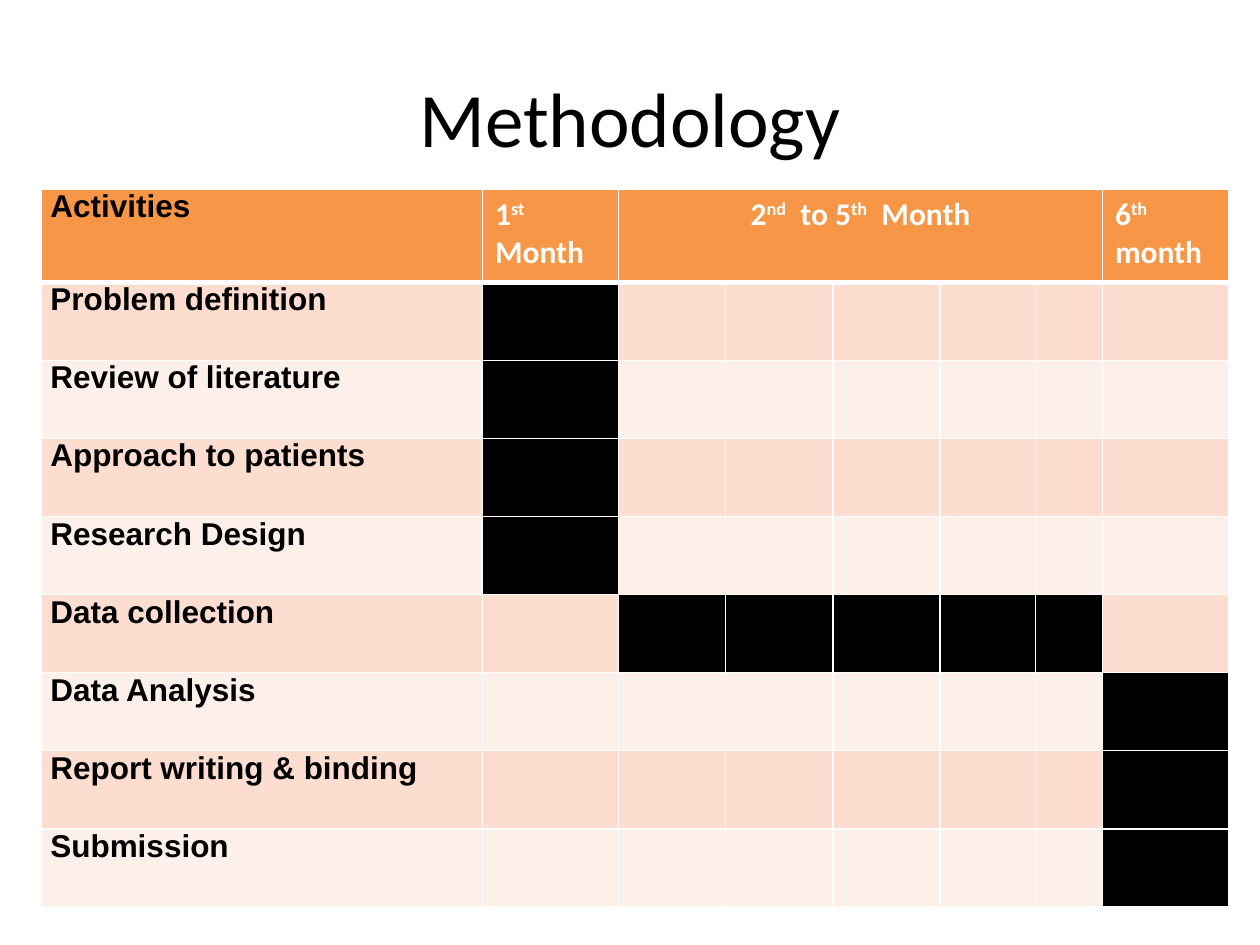
"""Build the Methodology slide with its activity schedule table."""
import pptx
import pptx.dml.color
import pptx.enum.text
import pptx.oxml
import pptx.oxml.ns
import pptx.util

Inches, Pt = pptx.util.Inches, pptx.util.Pt
RGBColor = pptx.dml.color.RGBColor
PP_ALIGN = pptx.enum.text.PP_ALIGN
MIDDLE = pptx.enum.text.MSO_ANCHOR.MIDDLE

BLACK = RGBColor(0x00, 0x00, 0x00)
WHITE = RGBColor(0xFF, 0xFF, 0xFF)
ORANGE = RGBColor(0xF7, 0x96, 0x46)
BANDS = (RGBColor(0xFC, 0xDD, 0xCF), RGBColor(0xFD, 0xEF, 0xE9))

TITLE = "Methodology"
MONTHS = {
    1: ["1", "^st", " Month"],
    2: ["2", "^nd", "  to 5", "^th", "  Month"],
    7: ["6", "^th", " month"],
}
FIRST, MIDDLE_MONTHS, LAST = (1,), range(2, 7), (7,)
ACTIVITIES = [
    ("Problem definition", FIRST),
    ("Review of literature", FIRST),
    ("Approach to patients", FIRST),
    ("Research Design", FIRST),
    ("Data collection", MIDDLE_MONTHS),
    ("Data Analysis", LAST),
    ("Report writing & binding", LAST),
    ("Submission", LAST),
]
COL_WIDTHS = [3.5, 1.08, 0.85, 0.85, 0.85, 0.76, 0.53, 1]
ROW_HEIGHTS = [0.74] + [0.62] * len(ACTIVITIES)

TITLE_FONT = {"name": "Calibri", "size": Pt(44), "bold": False}
MONTH_FONT = {"name": "Calibri", "size": Pt(18), "bold": True}
ACTIVITY_FONT = {"name": "Arial", "size": Pt(18), "bold": True}
ACTIVITY_MARGINS = {"margin_left": Inches(0.07), "margin_right": Inches(0.07),
                    "margin_top": 0, "margin_bottom": 0}


def apply(obj, values):
    for name, value in values.items():
        setattr(obj, name, value)


def add_run(p, text, font, color):
    r = p.add_run()
    r.text = text.lstrip("^")
    apply(r.font, font)
    r.font.color.rgb = color
    if text.startswith("^"):
        r.font._element.set("baseline", "30000")


def style_cell(cell, fill, bottom):
    cell.fill.solid()
    cell.fill.fore_color.rgb = fill
    tc_pr = cell._tc.get_or_add_tcPr()
    widths = {"lnL": 1, "lnR": 1, "lnT": 1, "lnB": bottom}
    for i, (side, width) in enumerate(widths.items()):
        tc_pr.insert(i, pptx.oxml.parse_xml(
            f'<a:{side} {pptx.oxml.ns.nsdecls("a")} w="{Pt(width)}"><a:solidFill>'
            f'<a:srgbClr val="{WHITE}"/></a:solidFill></a:{side}>'))


def add_activity(cell, text):
    apply(cell, ACTIVITY_MARGINS)
    p = cell.text_frame.paragraphs[0]
    p.space_after = Pt(18)
    add_run(p, text, ACTIVITY_FONT, BLACK)


prs = pptx.Presentation()
prs.slide_width, prs.slide_height = Inches(10), Inches(7.5)
s = prs.slides.add_slide(prs.slide_layouts[6])

tf = s.shapes.add_textbox(Inches(0.5), Inches(0.3), Inches(9), Inches(1.25)).text_frame
apply(tf, {"word_wrap": True, "vertical_anchor": MIDDLE})
p = tf.paragraphs[0]
p.alignment = PP_ALIGN.CENTER
add_run(p, TITLE, TITLE_FONT, BLACK)

schedule = s.shapes.add_table(
    len(ROW_HEIGHTS), len(COL_WIDTHS), Inches(0.33), Inches(1.5),
    Inches(sum(COL_WIDTHS)), Inches(sum(ROW_HEIGHTS))).table
for column, width in zip(schedule.columns, COL_WIDTHS):
    column.width = Inches(width)
for row, height in zip(schedule.rows, ROW_HEIGHTS):
    row.height = Inches(height)

for cell in schedule.rows[0].cells:
    style_cell(cell, ORANGE, 3)
schedule.cell(0, MIDDLE_MONTHS[0]).merge(schedule.cell(0, MIDDLE_MONTHS[-1]))
add_activity(schedule.cell(0, 0), "Activities")
for col, parts in MONTHS.items():
    p = schedule.cell(0, col).text_frame.paragraphs[0]
    if col in MIDDLE_MONTHS:
        p.alignment = PP_ALIGN.CENTER
    for part in parts:
        add_run(p, part, MONTH_FONT, WHITE)

for row, (activity, active) in enumerate(ACTIVITIES, 1):
    for col in range(len(COL_WIDTHS)):
        fill = BLACK if col in active else BANDS[(row - 1) % 2]
        style_cell(schedule.cell(row, col), fill, 1)
    add_activity(schedule.cell(row, 0), activity)

prs.save("out.pptx")
